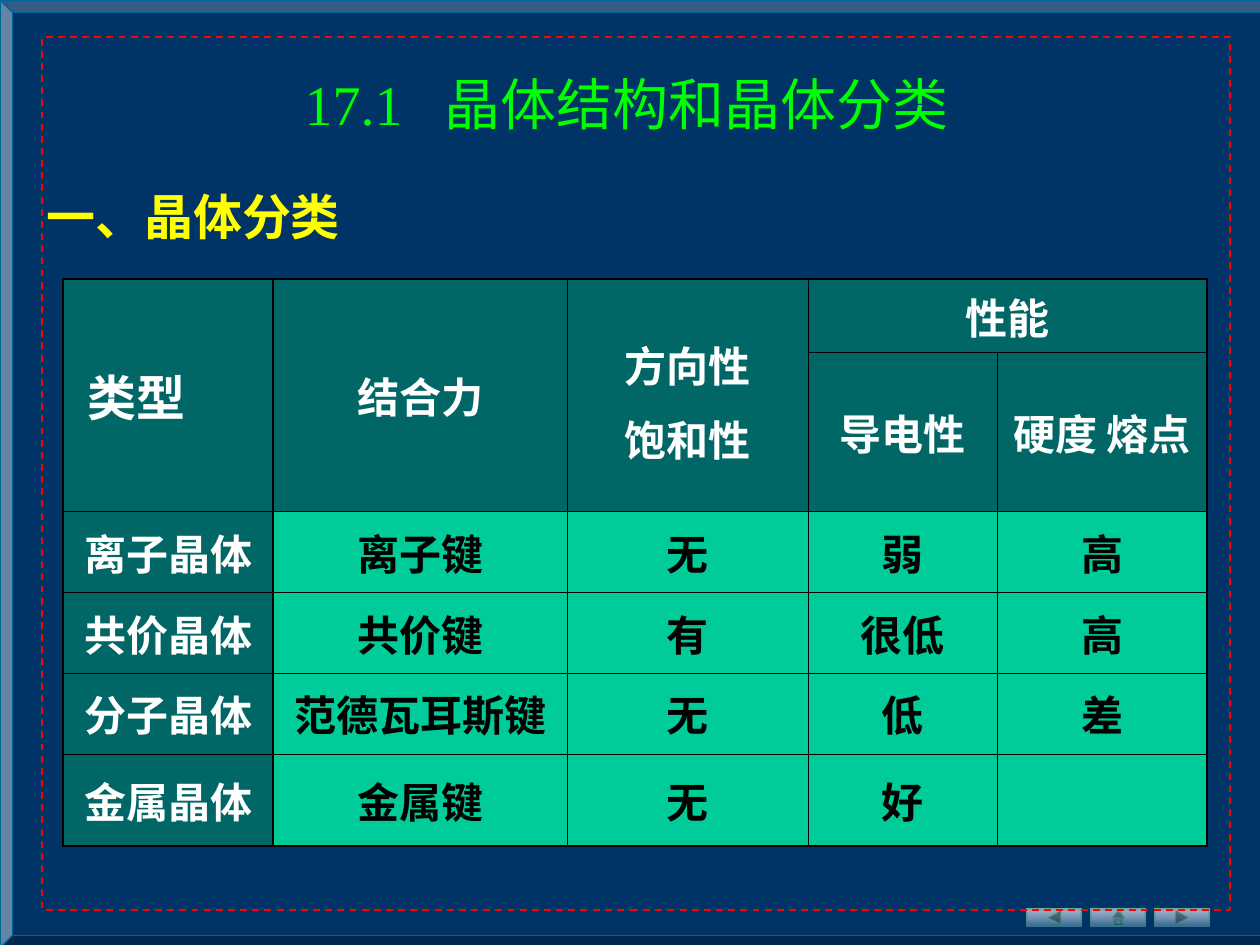
from dataclasses import dataclass

from lxml import etree
from pptx import Presentation
from pptx import util as u
from pptx.dml.color import RGBColor
from pptx.enum import dml, shapes, text
from pptx.oxml.ns import qn

EMU_PER_PX = 914400 / 126
FONT = "Times New Roman"
COLORS = {
    "navy": "003366", "edge": "006699", "red": "FF0000", "white": "FFFFFF",
    "black": "000000", "teal": "006666", "mint": "00CC99", "green": "00FF00",
    "yellow": "FFFF00", "steel": "336699", "sea": "339966",
}


@dataclass
class Frame:
    kind: shapes.MSO_SHAPE
    box: tuple[int, int, int, int]
    line: str
    width: float
    fill: str | None = None
    dash: bool = False


@dataclass
class Label:
    box: tuple[int, int, int, int]
    pieces: list[str]
    size: int
    color: str
    bold: bool = False
    align: text.PP_ALIGN = text.PP_ALIGN.LEFT


@dataclass
class Cell:
    row: int
    col: int
    words: str
    rows: int = 1
    cols: int = 1
    size: int = 24
    align: text.PP_ALIGN = text.PP_ALIGN.CENTER
    left: int = 13
    spacing: float = 1.0


FRAMES = [
    Frame(shapes.MSO_SHAPE.BEVEL, (0, 0, 1273, 948), "edge", 0.75, "navy"),
    Frame(shapes.MSO_SHAPE.RECTANGLE, (34, 37, 1188, 872), "navy", 1),
]
DASHED_FRAME = Frame(shapes.MSO_SHAPE.RECTANGLE, (42, 37, 1188, 873), "red", 1, dash=True)
BUTTONS = [
    shapes.MSO_SHAPE.ACTION_BUTTON_BACK_OR_PREVIOUS,
    shapes.MSO_SHAPE.ACTION_BUTTON_HOME,
    shapes.MSO_SHAPE.ACTION_BUTTON_FORWARD_OR_NEXT,
]
LABELS = [
    Label((233, 63, 788, 81), ["17.1", " ", "晶体结构和晶体分类"], 32, "green",
          align=text.PP_ALIGN.CENTER),
    Label((34, 180, 388, 72), ["一、晶体分类"], 28, "yellow", True),
]
COLUMNS = [210, 294, 241, 189, 210]
ROWS = [64, 142, 81, 81, 81, 92]
COLUMN_LINES = [1.08, 0.75, 0.45, 0.45, 0.45, 1.08]
ROW_LINES = [1.08, 0.45, 0.75, 0.45, 0.45, 0.45, 1.08]
HEADERS = [
    Cell(0, 0, "类型", rows=2, size=28, align=text.PP_ALIGN.LEFT, left=25),
    Cell(0, 1, "结合力", rows=2),
    Cell(0, 2, "方向性\n饱和性", rows=2, spacing=1.2),
    Cell(0, 3, "性能", cols=2),
    Cell(1, 3, "导电性"),
    Cell(1, 4, "硬度 熔点"),
]
CRYSTALS = [
    ["离子晶体", "离子键", "无", "弱", "高"],
    ["共价晶体", "共价键", "有", "很低", "高"],
    ["分子晶体", "范德瓦耳斯键", "无", "低", "差"],
    ["金属晶体", "金属键", "无", "好", ""],
]


def px(n: int) -> int:
    return round(n * EMU_PER_PX)


def rgb(name: str) -> RGBColor:
    return RGBColor.from_string(COLORS[name])


def set_alpha(color_parent, percent: int) -> None:
    for clr in color_parent.iter(qn("a:srgbClr")):
        etree.SubElement(clr, qn("a:alpha")).set("val", str(percent * 1000))


def style_font(font, size: int, color: str, bold: bool) -> None:
    font.name, font.size, font.bold = FONT, u.Pt(size), bold
    font.color.rgb = rgb(color)


def add_frame(s, f: Frame) -> None:
    sp = s.shapes.add_shape(f.kind, *map(px, f.box))
    sp.shadow.inherit = False
    sp.line.color.rgb = rgb(f.line)
    sp.line.width = u.Pt(f.width)
    if f.fill:
        sp.fill.solid()
        sp.fill.fore_color.rgb = rgb(f.fill)
        sp.adjustments[0] = 0.013
    else:
        sp.fill.background()
    if f.dash:
        sp.line.dash_style = dml.MSO_LINE.DASH


def add_button(s, kind: shapes.MSO_SHAPE, index: int) -> None:
    sp = s.shapes.add_shape(kind, px(1027 + 64 * index), px(909), px(54), px(17))
    sp.shadow.inherit = False
    sp.fill.gradient()
    sp.fill.gradient_angle = 270
    for stop, color in zip(sp.fill.gradient_stops, ("white", "steel")):
        stop.color.rgb = rgb(color)
    for gs, alpha in zip(sp._element.spPr.iter(qn("a:gs")), (62, 89)):
        set_alpha(gs, alpha)
    sp.line.color.rgb = rgb("sea")
    sp.line.width = 0
    set_alpha(sp._element.spPr.find(qn("a:ln")), 52)


def add_label(s, label: Label) -> None:
    tf = s.shapes.add_textbox(*map(px, label.box)).text_frame
    tf.word_wrap = True
    p = tf.paragraphs[0]
    p.alignment = label.align
    for piece in label.pieces:
        r = p.add_run()
        r.text = piece
        style_font(r.font, label.size, label.color, label.bold)
        if piece == " ":
            r._r.get_or_add_rPr().set("spc", "1600")


def add_border(tc_pr, side: str, width: float) -> None:
    ln = etree.SubElement(tc_pr, qn(f"a:ln{side}"), w=str(u.Pt(width)))
    fill = etree.SubElement(ln, qn("a:solidFill"))
    etree.SubElement(fill, qn("a:srgbClr"), val=COLORS["black"])


def fill_cell(table, c: Cell) -> None:
    cell = table.cell(c.row, c.col)
    last_row, last_col = c.row + c.rows, c.col + c.cols
    if c.rows * c.cols > 1:
        cell.merge(table.cell(last_row - 1, last_col - 1))
    header = c.row < 2 or c.col == 0
    for row in range(c.row, last_row):
        for col in range(c.col, last_col):
            member = table.cell(row, col)
            tc_pr = member._tc.get_or_add_tcPr()
            add_border(tc_pr, "L", COLUMN_LINES[c.col])
            add_border(tc_pr, "R", COLUMN_LINES[last_col])
            add_border(tc_pr, "T", ROW_LINES[c.row])
            add_border(tc_pr, "B", ROW_LINES[last_row])
            member.fill.solid()
            member.fill.fore_color.rgb = rgb("teal" if header else "mint")
    cell.vertical_anchor = text.MSO_ANCHOR.MIDDLE
    cell.margin_left = px(c.left)
    cell.text_frame.text = c.words
    for p in cell.text_frame.paragraphs:
        p.alignment = c.align
        p.line_spacing = c.spacing
        for r in p.runs:
            style_font(r.font, c.size, "white" if header else "black", True)


def add_crystal_table(s) -> None:
    table = s.shapes.add_table(len(ROWS), len(COLUMNS), px(63), px(279),
                               px(sum(COLUMNS)), px(sum(ROWS))).table
    table.first_row = table.horz_banding = False
    for column, width in zip(table.columns, COLUMNS):
        column.width = px(width)
    for row, height in zip(table.rows, ROWS):
        row.height = px(height)
    body = [Cell(i, j, words) for i, line in enumerate(CRYSTALS, 2)
            for j, words in enumerate(line)]
    for c in HEADERS + body:
        fill_cell(table, c)


def main() -> None:
    prs = Presentation()
    prs.slide_width, prs.slide_height = px(1260), px(945)
    s = prs.slides.add_slide(prs.slide_layouts[6])
    for f in FRAMES:
        add_frame(s, f)
    for index, kind in enumerate(BUTTONS):
        add_button(s, kind, index)
    add_frame(s, DASHED_FRAME)
    add_crystal_table(s)
    for label in LABELS:
        add_label(s, label)
    prs.save("out.pptx")


if __name__ == "__main__":
    main()
